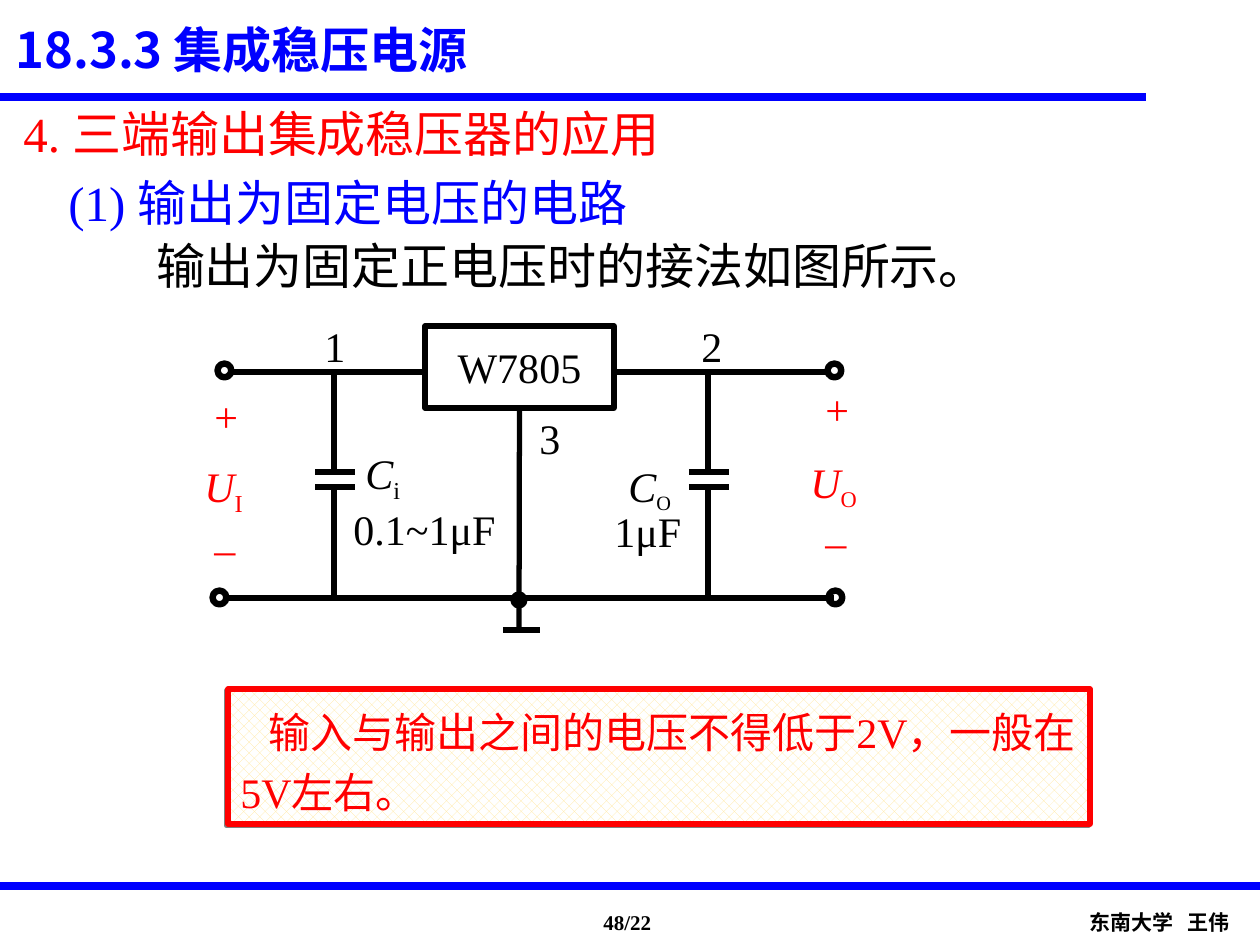
from lxml import etree
from pptx import Presentation
from pptx.dml.color import RGBColor
from pptx.enum.dml import MSO_PATTERN
from pptx.enum.shapes import MSO_CONNECTOR, MSO_SHAPE
from pptx.enum.text import MSO_ANCHOR, MSO_AUTO_SIZE, PP_ALIGN
from pptx.oxml.ns import qn
from pptx.util import Pt

STRAIGHT = MSO_CONNECTOR.STRAIGHT
RECTANGLE, OVAL, DONUT = MSO_SHAPE.RECTANGLE, MSO_SHAPE.OVAL, MSO_SHAPE.DONUT
MIDDLE, TOP = MSO_ANCHOR.MIDDLE, MSO_ANCHOR.TOP
LEFT, CENTER = PP_ALIGN.LEFT, PP_ALIGN.CENTER
NO_FIT = MSO_AUTO_SIZE.NONE
PATTERN = MSO_PATTERN.from_xml("pct40")
SERIF, SANS = "Times New Roman", "Noto Sans CJK SC"
COLORS = {"black": "000000", "blue": "0000FF", "red": "FF0000",
          "cream": "FFE699", "white": "FFFFFF", "gray": "808080"}


def px(value):
    return round(value * 914400 / 126)


def color(name):
    return RGBColor.from_string(COLORS[name])


def inside(box, part):
    left, top, width, height = part
    return [px(v) for v in (box[0] + left, box[1] + top, width, height)]


def style(span, size, name, font=SERIF, bold=False, italic=False):
    span.font.size = Pt(size)
    span.font.bold = bold
    span.font.italic = italic
    span.font.color.rgb = color(name)
    span.font.name = font
    etree.SubElement(span.font._element, qn("a:ea"), typeface=SANS)


def write(shape, text, size, name, font=SERIF, bold=False, align=LEFT, anchor=TOP):
    frame = shape.text_frame
    frame.word_wrap = True
    frame.auto_size = NO_FIT
    frame.vertical_anchor = anchor
    frame.text = text
    for para in frame.paragraphs:
        para.alignment = align
        for span in para.runs:
            style(span, size, name, font, bold)
    return frame.paragraphs


def label(page, box, part, text, size=24, name="black", **options):
    shape = page.shapes.add_textbox(*inside(box, part))
    return write(shape, text, size, name, **options)


def symbol(page, box, part, letter, index, index_size, name):
    para = label(page, box, part, letter, 24, name)[0]
    para.runs[0].font.italic = True
    span = para.add_run()
    span.text = index
    style(span, index_size, name)
    span.font._element.set("baseline", "-25000")


def line(page, box, ends, name="black", width=3):
    x1, y1, x2, y2 = ends
    wire = page.shapes.add_connector(STRAIGHT, px(box[0] + x1), px(box[1] + y1),
                                     px(box[0] + x2), px(box[1] + y2))
    wire.line.color.rgb = color(name)
    wire.line.width = Pt(width)
    etree.SubElement(wire._element.spPr, qn("a:effectLst"))
    return wire


def outlined(page, box, part, kind, name="black"):
    shape = page.shapes.add_shape(kind, *inside(box, part))
    shape.shadow.inherit = False
    shape.fill.background()
    shape.line.color.rgb = color(name)
    shape.line.width = Pt(3)
    return shape


def header(page, box):
    title = page.shapes.title
    title.left, title.top, title.width, title.height = inside(box, (3, 8, 825, 82))
    write(title, "18.3.3 集成稳压电源", 28, "blue", SANS, True, anchor=MIDDLE)
    line(page, box, (0, 97, 1146, 97), "blue", 5)


def headings(page, box):
    label(page, box, (11, 0, 776, 72), "4. 三端输出集成稳压器的应用", 28, "red")
    label(page, box, (56, 69, 607, 72), "(1) 输出为固定电压的电路", 28, "blue")
    label(page, box, (131, 132, 882, 72), "输出为固定正电压时的接法如图所示。", 28,
          align=CENTER)


def capacitor(page, box):
    width, height = box[2:]
    for ends in [(19, 0, 19, 100), (19, 115, 19, height),
                 (0, 100, width, 100), (0, 115, width, 115)]:
        line(page, box, ends)


def polarity(page, box):
    paras = label(page, box, (0, 0, *box[2:]), "+\n_", 24, "red")
    for para in paras:
        para.line_spacing = 1.2
    paras[1].space_before = Pt(33)


def circuit(page, box):
    for ends in [(41, 62, 232, 62), (427, 62, 637, 62), (33, 288, 644, 288),
                 (313, 320, 350, 320)]:
        line(page, box, ends)
    for left, top in [(27, 53), (637, 53), (22, 280), (638, 280)]:
        ring = outlined(page, box, (left, top, 15, 15), DONUT)
        ring.adjustments[0] = 0.08

    chip = outlined(page, box, (235, 16, 189, 82), RECTANGLE)
    write(chip, "W7805", 24, "black", align=CENTER, anchor=MIDDLE)
    ground = line(page, box, (329, 98, 329, 322))
    ground.begin_connect(chip, 2)
    node = outlined(page, box, (323, 284, 12, 12), OVAL)
    node.fill.solid()
    node.fill.fore_color.rgb = color("black")

    for left in (125, 499):
        capacitor(page, (box[0] + left, box[1] + 62, 40, 226))
    for left, top in [(12, 64), (623, 57)]:
        polarity(page, (box[0] + left, box[1] + top, 45, 197))
    for left, top, text in [(122, 4, "1"), (499, 4, "2"), (337, 96, "3")]:
        label(page, box, (left, top, 47, 64), text)
    label(page, box, (151, 187, 180, 64), "0.1~1μF")
    label(page, box, (412, 189, 95, 64), "1μF")
    for part, letter, index, size, name in [
            ((163, 131, 92, 63), "C", "i", 24, "black"),
            ((426, 144, 80, 64), "C", "O", 20, "black"),
            ((2, 144, 88, 63), "U", "I", 24, "red"),
            ((608, 140, 122, 63), "U", "O", 22, "red")]:
        symbol(page, box, part, letter, index, size, name)


def note(page, box):
    panel = outlined(page, box, (0, 0, *box[2:]), RECTANGLE, "red")
    panel.fill.patterned()
    panel.fill.pattern = PATTERN
    panel.fill.fore_color.rgb = color("cream")
    panel.fill.back_color.rgb = color("white")
    effects = panel._element.spPr.find(qn("a:effectLst"))
    shadow = etree.SubElement(effects, qn("a:outerShdw"), dist=str(Pt(1.4)),
                              dir="8100000", algn="ctr", rotWithShape="0")
    etree.SubElement(shadow, qn("a:srgbClr"), val=COLORS["gray"])
    para = write(panel, "输入与输出之间的电压不得低于2V，一般在5V左右。", 24, "red",
                 anchor=MIDDLE)[0]
    para.line_spacing = 1.2
    para._p.get_or_add_pPr().set("indent", str(px(28)))


def footer(page, box):
    line(page, box, (0, 0, box[2], 0), "blue", 5)
    label(page, box, (591, 17, 77, 38), "48/22", 12, bold=True)
    para = label(page, box, (1077, 17, 171, 38), "东南大学\t王伟", 12,
                 font=SANS, bold=True)[0]
    tabs = etree.SubElement(para._p.get_or_add_pPr(), qn("a:tabLst"))
    etree.SubElement(tabs, qn("a:tab"), pos=str(px(98)), algn="l")


def main():
    deck = Presentation()
    deck.slide_width, deck.slide_height = px(1260), px(945)
    page = deck.slides.add_slide(deck.slide_layouts[5])
    header(page, (0, 0, 1260, 100))
    headings(page, (0, 97, 1260, 204))
    circuit(page, (190, 310, 740, 330))
    note(page, (228, 689, 862, 135))
    footer(page, (0, 886, 1260, 59))
    deck.save("out.pptx")


if __name__ == "__main__":
    main()
